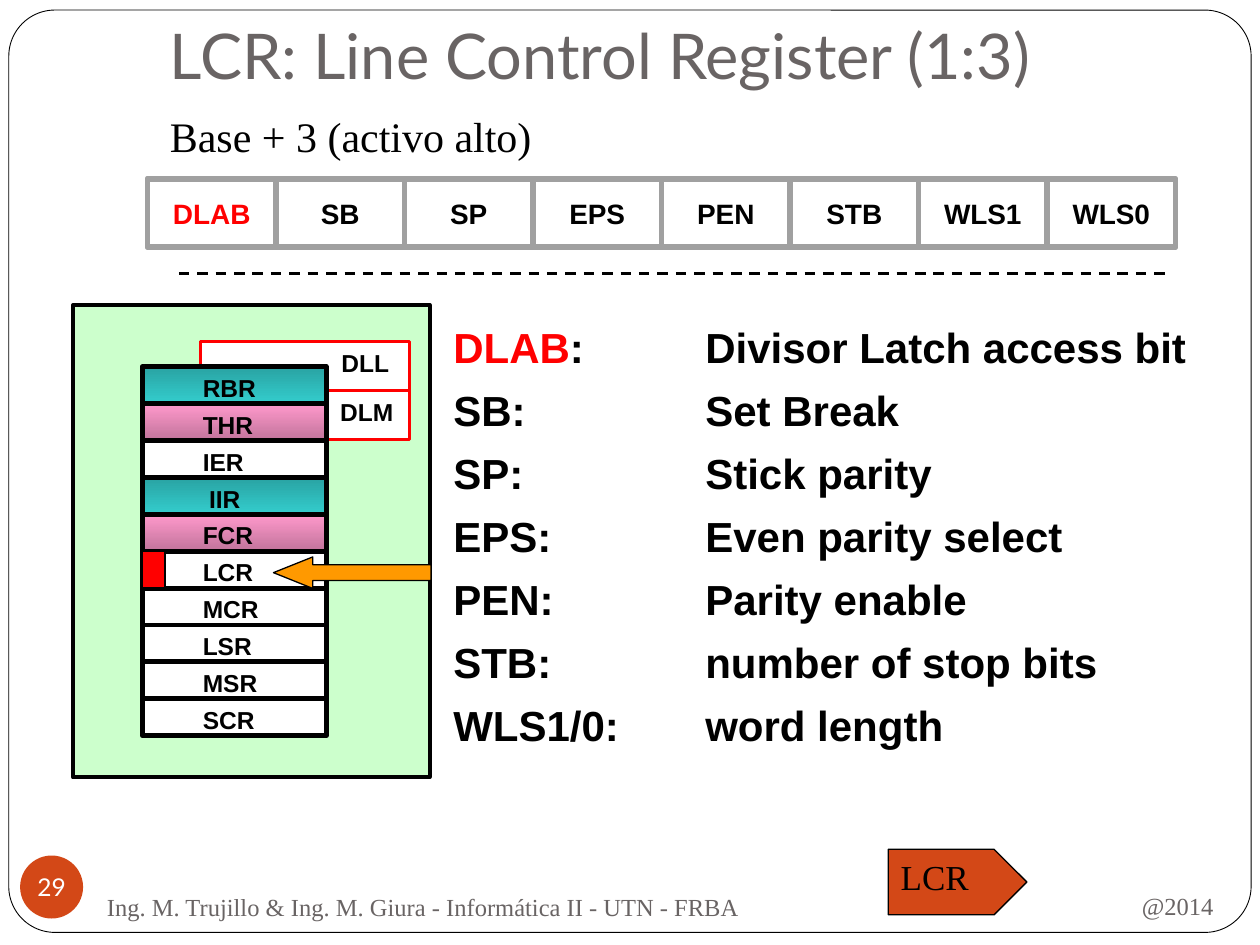
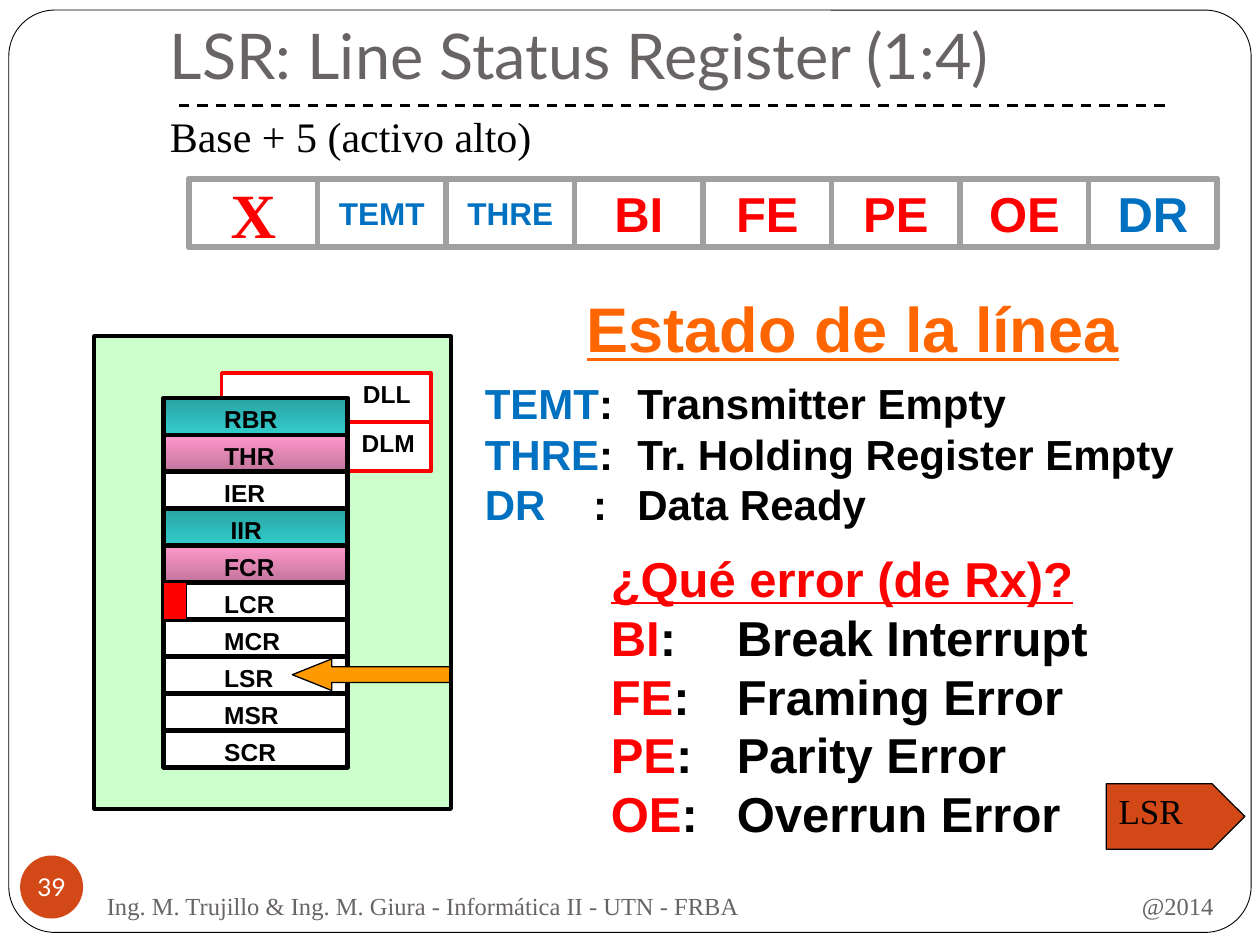
"""Build two slides on the line registers of a serial port."""
from dataclasses import dataclass
from typing import Any, NamedTuple, Optional

import lxml.etree
import pptx
import pptx.dml.color
import pptx.enum.dml
import pptx.enum.shapes
import pptx.enum.text
import pptx.oxml.ns
import pptx.slide
import pptx.util

Inches = pptx.util.Inches
Pt = pptx.util.Pt
RGBColor = pptx.dml.color.RGBColor
Kind = pptx.enum.shapes.MSO_SHAPE
Align = pptx.enum.text.PP_ALIGN
Anchor = pptx.enum.text.MSO_ANCHOR
qn = pptx.oxml.ns.qn

BLACK = RGBColor(0x00, 0x00, 0x00)
WHITE = RGBColor(0xFF, 0xFF, 0xFF)
GREY = RGBColor(0x69, 0x64, 0x64)
SILVER = RGBColor(0xA0, 0xA0, 0xA0)
RED = RGBColor(0xFF, 0x00, 0x00)
BLUE = RGBColor(0x00, 0x70, 0xC0)
ORANGE = RGBColor(0xFF, 0x66, 0x00)
AMBER = RGBColor(0xFF, 0x99, 0x00)
RUST = RGBColor(0xD3, 0x48, 0x17)
MINT = RGBColor(0xCC, 0xFF, 0xCC)
PINK = (RGBColor(0xFF, 0x99, 0xCC), RGBColor(0xC2, 0x74, 0x9B))
TEAL = (RGBColor(0x29, 0xA3, 0xA3), RGBColor(0x33, 0xCC, 0xCC))

SANS, SERIF, HEAD = "Arial", "Times New Roman", "Lato"
LEADING = 1.2
CELL_W, CELL_H, CELL_TOP = 1.02, 0.54, 1.42
ROW_W, ROW_H = 1.46, 0.293
AUTHORS = "Ing. M. Trujillo & Ing. M. Giura - Informática II - UTN - FRBA"


class Box(NamedTuple):
    x: float
    y: float
    w: float
    h: float


class Run(NamedTuple):
    text: str
    color: RGBColor = BLACK
    line: bool = False


@dataclass(frozen=True)
class Para:
    runs: tuple[Run, ...]
    size: float
    font: str = SANS
    bold: bool = True
    align: Any = Align.LEFT
    before: float = 0
    after: float = 0
    indent: float = 0
    tabs: tuple[float, ...] = ()


@dataclass(frozen=True)
class Look:
    fill: Any = None
    line: Optional[RGBColor] = None
    width: float = 1
    kind: Any = Kind.RECTANGLE
    adjust: tuple[float, ...] = ()


class Cell(NamedTuple):
    name: str
    color: RGBColor = BLACK
    size: float = 16
    font: str = SANS


class Row(NamedTuple):
    name: str
    fill: Any = WHITE
    inset: float = 0.48


@dataclass(frozen=True)
class Page:
    number: str
    title: str
    base: str
    foot: Box
    rule: float
    left: float
    cells: tuple[Cell, ...]
    panel: tuple[float, float]
    arrow: tuple[float, float]
    body: Box
    paras: tuple[Para, ...]
    tag: str
    place: tuple[float, float]


ROWS = (
    Row("RBR", TEAL), Row("THR", PINK), Row("IER"), Row("IIR", TEAL, 0.53),
    Row("FCR", PINK), Row("LCR"), Row("MCR"), Row("LSR"), Row("MSR"), Row("SCR"),
)


def apply(target: Any, values: dict[str, Any]) -> None:
    for name, value in values.items():
        setattr(target, name, value)


def place(box: Box) -> tuple[int, ...]:
    return tuple(Inches(side) for side in box)


def write(shape: Any, paras: tuple[Para, ...], anchor: Any = Anchor.TOP,
          inset: tuple[float, ...] = (0.1, 0.05, 0.1, 0.05)) -> None:
    frame = shape.text_frame
    left, top, right, bottom = map(Inches, inset)
    apply(frame, {
        "word_wrap": True, "vertical_anchor": anchor, "margin_left": left,
        "margin_top": top, "margin_right": right, "margin_bottom": bottom,
    })
    for index, para in enumerate(paras):
        item = frame.add_paragraph() if index else frame.paragraphs[0]
        apply(item, {
            "alignment": para.align,
            "line_spacing": Pt(para.size * LEADING),
            "space_before": Pt(para.size * para.before),
            "space_after": Pt(para.size * para.after),
        })
        props = item._p.get_or_add_pPr()
        if para.indent:
            props.set("marL", str(Inches(para.indent)))
            props.set("indent", "0")
        if para.tabs:
            stops = lxml.etree.SubElement(props, qn("a:tabLst"))
            for stop in para.tabs:
                lxml.etree.SubElement(stops, qn("a:tab"), pos=str(Inches(stop)), algn="l")
        for part in para.runs:
            run = item.add_run()
            run.text = part.text
            apply(run.font, {
                "name": para.font, "size": Pt(para.size),
                "bold": para.bold, "underline": part.line,
            })
            run.font.color.rgb = part.color


def draw(slide: pptx.slide.Slide, box: Box, look: Look) -> Any:
    shape = slide.shapes.add_shape(look.kind, *place(box))
    shape.shadow.inherit = False
    for index, value in enumerate(look.adjust):
        shape.adjustments[index] = value
    if look.fill is None:
        shape.fill.background()
    elif isinstance(look.fill, RGBColor):
        shape.fill.solid()
        shape.fill.fore_color.rgb = look.fill
    else:
        shape.fill.gradient()
        shape.fill.gradient_angle = 270
        for stop, color in zip(shape.fill.gradient_stops, look.fill):
            stop.color.rgb = color
    if look.line is None:
        shape.line.fill.background()
    else:
        shape.line.color.rgb = look.line
        shape.line.width = Pt(look.width)
    return shape


def label(slide: pptx.slide.Slide, box: Box, paras: tuple[Para, ...],
          anchor: Any = Anchor.TOP) -> None:
    write(slide.shapes.add_textbox(*place(box)), paras, anchor)


def plain(text: str, size: float, font: str = SERIF, color: RGBColor = BLACK,
          align: Any = Align.LEFT, bold: bool = False) -> tuple[Para, ...]:
    return (Para((Run(text, color),), size, font, bold, align),)


def frame(slide: pptx.slide.Slide, page: Page) -> None:
    draw(slide, Box(0.07, 0.08, 9.86, 7.32),
         Look(WHITE, BLACK, 0.5, Kind.ROUNDED_RECTANGLE, (0.05,)))
    title = slide.shapes.add_textbox(*place(Box(1.25, 0.08, 8.5, 0.75)))
    write(title, plain(page.title, 36, HEAD, GREY), Anchor.BOTTOM, (0.1, 0.05, 0.1, 0.1))
    label(slide, Box(7.02, 6.93, 2.71, 0.52),
          plain("@2014", 14, color=GREY, align=Align.RIGHT), Anchor.MIDDLE)
    label(slide, page.foot, plain(AUTHORS, 14, color=GREY), Anchor.MIDDLE)
    label(slide, Box(1.25, 0.83, 7.83, 0.5), plain(page.base, 24))
    badge = draw(slide, Box(0.16, 6.79, 0.5, 0.5), Look(RUST, kind=Kind.OVAL))
    write(badge, plain(page.number, 14, HEAD, WHITE, Align.CENTER), Anchor.MIDDLE, (0,) * 4)


def rule(slide: pptx.slide.Slide, y: float) -> None:
    line = slide.shapes.add_connector(
        pptx.enum.shapes.MSO_CONNECTOR.STRAIGHT, *place(Box(1.42, y, 9.25, y)))
    line.line.color.rgb = BLACK
    apply(line.line, {"width": Pt(1.5), "dash_style": pptx.enum.dml.MSO_LINE.DASH})
    lxml.etree.SubElement(line._element.spPr, qn("a:effectLst"))


def strip(slide: pptx.slide.Slide, page: Page) -> None:
    for index, cell in enumerate(page.cells):
        box = Box(page.left + index * CELL_W, CELL_TOP, CELL_W, CELL_H)
        shape = draw(slide, box, Look(None, SILVER, 3))
        write(shape, plain(cell.name, cell.size, cell.font, cell.color, Align.CENTER, True),
              Anchor.MIDDLE, (0,) * 4)
    draw(slide, Box(page.left, CELL_TOP, len(page.cells) * CELL_W, CELL_H),
         Look(None, SILVER, 3))


def panel(slide: pptx.slide.Slide, page: Page) -> None:
    x, y = page.panel

    def entry(box: Box, look: Look, text: str, inset: float) -> None:
        write(draw(slide, box, look), plain(text, 14, SANS, bold=True),
              inset=(inset, 0.05, 0, 0.05))

    draw(slide, Box(x, y, 2.83, 3.75), Look(MINT, BLACK, 2.25))
    latch = Look(WHITE, RED, 2)
    entry(Box(x + 1.1, y + 0.68, 1.57, 0.39), latch, "DLM", 1.02)
    entry(Box(x + 1.01, y + 0.29, 1.66, 0.39), latch, "DLL", 1.12)
    left, top = x + 0.55, y + 0.49
    for index, row in enumerate(ROWS):
        entry(Box(left, top + index * ROW_H, ROW_W, ROW_H),
              Look(row.fill, BLACK, 2.75), row.name, row.inset)
    draw(slide, Box(left, top + 5 * ROW_H, 0.18, ROW_H), Look(RED, BLACK, 0.75))
    dx, dy = page.arrow
    draw(slide, Box(x + dx, y + dy, 1.25, 0.25),
         Look(AMBER, BLACK, 0.75, Kind.LEFT_ARROW, (0.5, 1.25)))


def build(deck: Any, page: Page) -> None:
    slide = deck.slides.add_slide(deck.slide_layouts[6])
    frame(slide, page)
    rule(slide, page.rule)
    strip(slide, page)
    label(slide, page.body, page.paras)
    panel(slide, page)
    tag = draw(slide, Box(*page.place, 1.1, 0.52),
               Look(RUST, BLACK, 0.75, Kind.PENTAGON, (0.5,)))
    write(tag, plain(page.tag, 20))


def field(name: str, text: str, color: RGBColor = BLACK) -> Para:
    return Para((Run(name, color), Run(f":\t{text}")), 24, after=0.3, tabs=(2,))


def state(name: str, text: str) -> Para:
    return Para((Run(name, BLUE), Run(f":\t{text}")), 24, tabs=(0.86, 1.21))


def fault(name: str, text: str) -> Para:
    return Para((Run(name, RED), Run(f":\t{text}")), 28, indent=1)


CONTROL = Page(
    "29", "LCR: Line Control Register (1:3)", "Base + 3 (activo alto)",
    Box(0.75, 6.95, 5.42, 0.5), 2.17, 1.17,
    (Cell("DLAB", RED),
     *map(Cell, ("SB", "SP", "EPS", "PEN", "STB", "WLS1", "WLS0"))),
    (0.58, 2.42), (1.59, 2.0), Box(3.5, 2.5, 6.5, 3.66),
    (field("DLAB", "Divisor Latch access bit", RED),
     field("SB", "Set Break"), field("SP", "Stick parity"),
     field("EPS", "Even parity select"), field("PEN", "Parity enable"),
     field("STB", "number of stop bits"), field("WLS1/0", "word length")),
    "LCR", (7.05, 6.74),
)
STATUS = Page(
    "39", "LSR: Line Status Register (1:4)", "Base + 5 (activo alto)",
    Box(0.75, 6.99, 5.57, 0.39), 0.84, 1.5,
    (Cell("X", RED, 36, SERIF), Cell("TEMT", BLUE, 18), Cell("THRE", BLUE, 18),
     *(Cell(name, RED, 28) for name in ("BI", "FE", "PE", "OE")),
     Cell("DR", BLUE, 28)),
    (0.75, 2.67), (1.57, 2.56), Box(3.75, 2.25, 6.04, 4.54),
    (Para((Run("Estado de la línea", ORANGE, True),), 36, align=Align.CENTER, after=0.2),
     state("TEMT", "Transmitter Empty"), state("THRE", "Tr. Holding Register Empty"),
     state("DR\t", "Data Ready"),
     Para((Run("¿Qué error (de Rx)?", RED, True),), 28, before=0.4, indent=1),
     fault("BI", "Break Interrupt"), fault("FE", "Framing Error"),
     fault("PE", "Parity Error"), fault("OE", "Overrun Error")),
    "LSR", (8.78, 6.22),
)


def main() -> None:
    deck = pptx.Presentation()
    apply(deck, {"slide_width": Inches(10), "slide_height": Inches(7.5)})
    for page in (CONTROL, STATUS):
        build(deck, page)
    deck.save("out.pptx")


if __name__ == "__main__":
    main()
